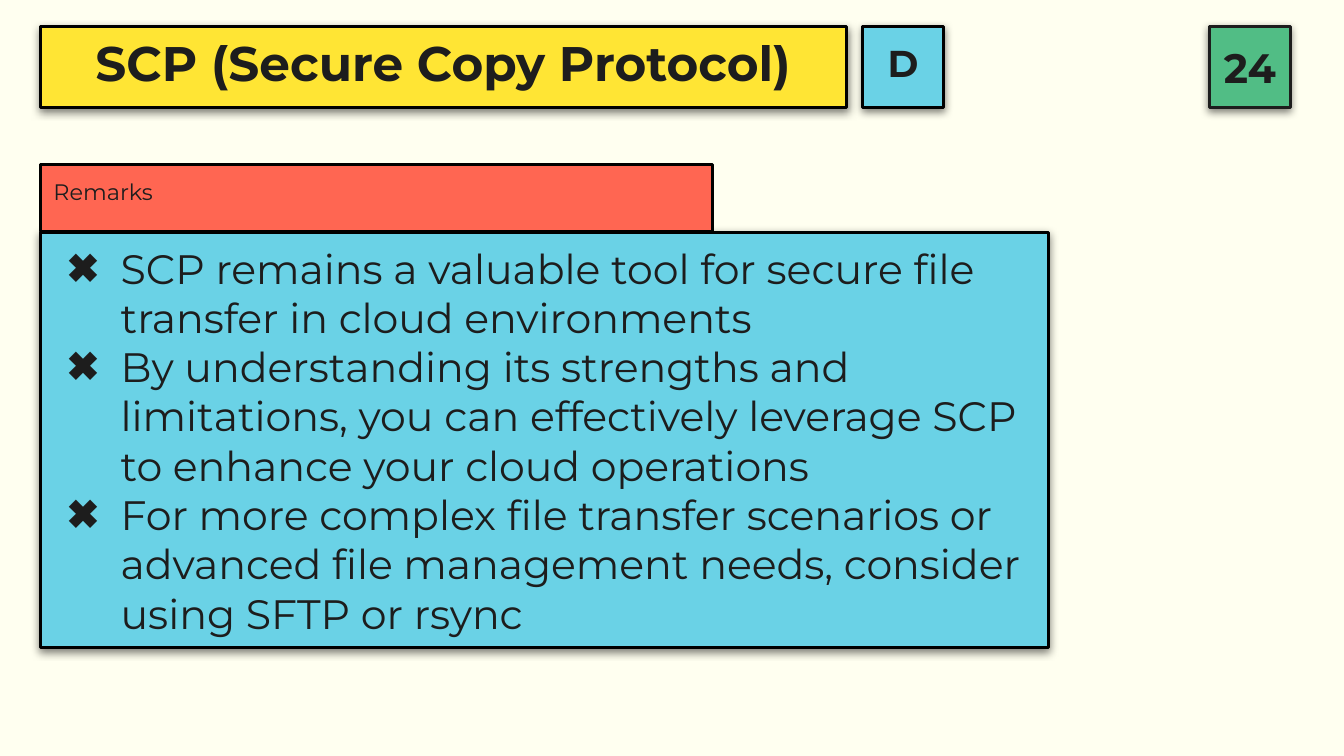
from lxml import etree
from pptx import Presentation
from pptx.dml.color import RGBColor
from pptx.enum.shapes import MSO_SHAPE
from pptx.enum.text import MSO_ANCHOR, PP_ALIGN
from pptx.oxml.ns import qn
from pptx.util import Inches, Pt

RECTANGLE = MSO_SHAPE.RECTANGLE
MIDDLE, TOP = MSO_ANCHOR.MIDDLE, MSO_ANCHOR.TOP
CENTER, LEFT = PP_ALIGN.CENTER, PP_ALIGN.LEFT

CREAM = RGBColor(0xFF, 0xFF, 0xF0)
YELLOW = RGBColor(0xFF, 0xE5, 0x34)
BLUE = RGBColor(0x6A, 0xD2, 0xE6)
GREEN = RGBColor(0x51, 0xBD, 0x85)
RED = RGBColor(0xFF, 0x66, 0x52)
BLACK = RGBColor(0, 0, 0)
INK = RGBColor(0x1D, 0x1D, 0x1D)

FONT = "Montserrat"
CELL = 0.1
MARGIN = 3
HEADER_ROW = 2
HEADER_SIZE = 6

REMARKS = [
    "SCP remains a valuable tool for secure file transfer in cloud environments",
    "By understanding its strengths and limitations, you can effectively "
    "leverage SCP to enhance your cloud operations",
    "For more complex file transfer scenarios or advanced file management "
    "needs, consider using SFTP or rsync",
]


def grid(cells):
    return Inches(cells * CELL)


def add_shadow(shape):
    effects = shape._element.spPr.find(qn("a:effectLst"))
    shadow = etree.SubElement(
        effects, qn("a:outerShdw"), blurRad=str(Pt(4.5)), dist=str(Pt(1.5)),
        dir="5400000", algn="bl", rotWithShape="0")
    color = etree.SubElement(shadow, qn("a:srgbClr"), val=str(BLACK))
    etree.SubElement(color, qn("a:alpha"), val="50000")


def add_card(slide, column, row, columns, rows, fill, line=BLACK, shadow=True):
    shape = slide.shapes.add_shape(
        RECTANGLE, grid(column), grid(row), grid(columns), grid(rows))
    shape.fill.solid()
    shape.fill.fore_color.rgb = fill
    shape.line.color.rgb = line
    shape.line.width = Pt(1.5)
    shape.shadow.inherit = False
    if shadow:
        add_shadow(shape)
    return shape


def add_bullet(paragraph):
    properties = paragraph._p.get_or_add_pPr()
    properties.set("marL", str(Inches(0.5)))
    properties.set("indent", str(Inches(-0.4)))
    color = etree.SubElement(properties, qn("a:buClr"))
    etree.SubElement(color, qn("a:srgbClr"), val=str(INK))
    etree.SubElement(properties, qn("a:buFont"), typeface=FONT)
    etree.SubElement(properties, qn("a:buChar"), char="✖")


def write_text(shape, lines, size, bold=False, align=CENTER, anchor=MIDDLE,
               spacing=None, bullets=False):
    frame = shape.text_frame
    frame.word_wrap = True
    frame.vertical_anchor = anchor
    frame.margin_left = frame.margin_right = grid(1)
    frame.margin_top = frame.margin_bottom = grid(1)
    frame.text = "\n".join(lines)
    for paragraph in frame.paragraphs:
        if bullets:
            add_bullet(paragraph)
        paragraph.alignment = align
        if spacing:
            paragraph.line_spacing = spacing
        for run in paragraph.runs:
            run.font.name = FONT
            run.font.size = Pt(size)
            run.font.bold = bold
            run.font.color.rgb = INK


def add_header(slide, column, columns, fill, text, size, line=BLACK, spacing=0.8):
    card = add_card(slide, column, HEADER_ROW, columns, HEADER_SIZE, fill, line=line)
    write_text(card, [text], size, bold=True, spacing=spacing)


def add_remarks(slide):
    body = add_card(slide, MARGIN, 17.3, 75, 30.9, BLUE)
    write_text(body, REMARKS, 22, align=LEFT, bullets=True)
    tab = add_card(slide, MARGIN, 12.25, 50, 5, RED, shadow=False)
    write_text(tab, ["Remarks"], 12, align=LEFT, anchor=TOP)


def main():
    presentation = Presentation()
    presentation.slide_width = Inches(10)
    presentation.slide_height = presentation.slide_width * 9 // 16
    slide = presentation.slides.add_slide(presentation.slide_layouts[6])
    slide.background.fill.solid()
    slide.background.fill.fore_color.rgb = CREAM

    add_header(slide, 90, HEADER_SIZE, GREEN, "24", 22, line=INK, spacing=None)
    add_remarks(slide)
    add_header(slide, MARGIN, 60, YELLOW, "SCP (Secure Copy Protocol)", 26)
    add_header(slide, 64.2, HEADER_SIZE, BLUE, "D", 20)

    presentation.save("out.pptx")


if __name__ == "__main__":
    main()
